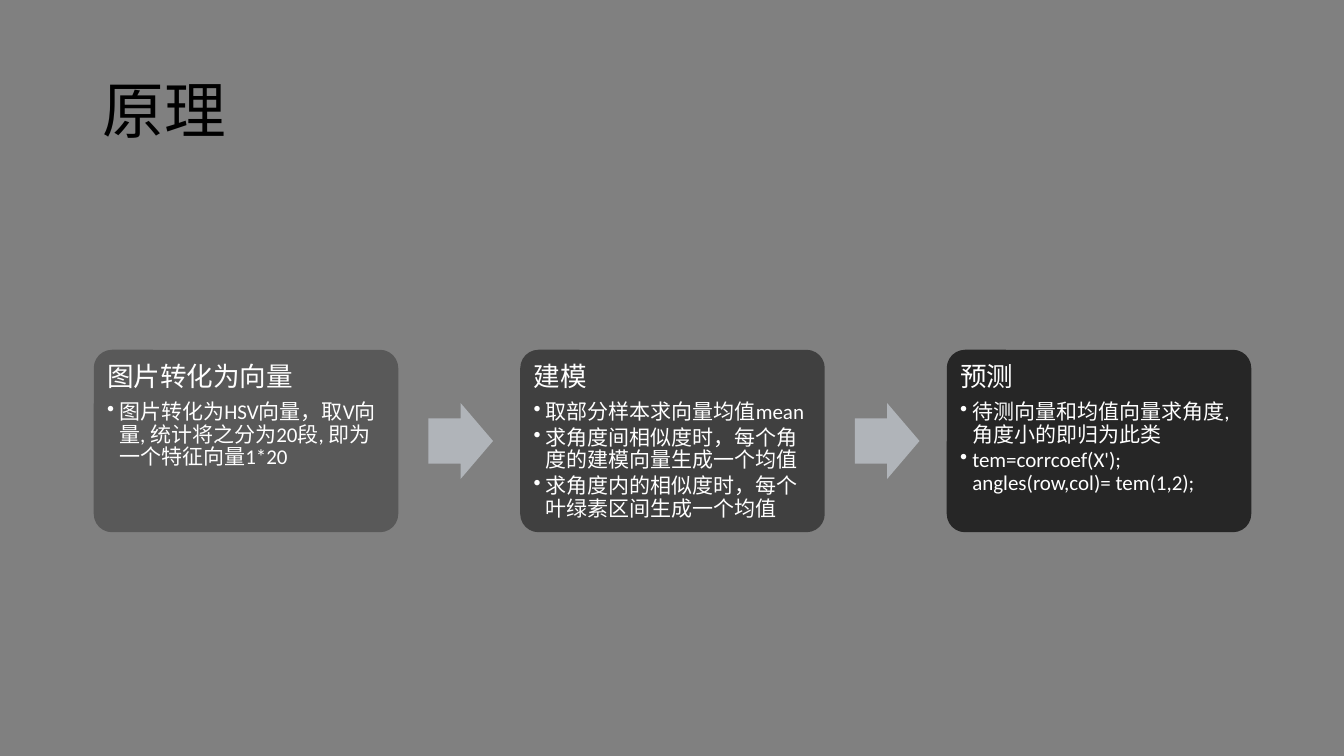
from lxml.etree import SubElement
from pptx import Presentation
from pptx.dml.color import RGBColor
from pptx.enum.shapes import MSO_SHAPE
from pptx.enum.text import MSO_ANCHOR, PP_ALIGN
from pptx.oxml.ns import qn
from pptx.util import Inches, Pt

LATIN, CHINESE = "Calibri", "Noto Sans CJK SC"
CARD_LEFT, CARD_TOP, CARD_WIDTH, CARD_HEIGHT = 0.93, 3.47, 3.02, 1.81
CARD_PITCH = 4.23
ARROW_WIDTH, ARROW_HEIGHT, ARROW_GAP = 0.64, 0.75, 0.3
INDENT = 0.12

STEPS = [
    ("图片转化为向量", "595959",
     ["图片转化为HSV向量，取V向量, 统计将之分为20段, 即为一个特征向量1*20"]),
    ("建模", "404040",
     ["取部分样本求向量均值mean",
      "求角度间相似度时，每个角度的建模向量生成一个均值",
      "求角度内的相似度时，每个叶绿素区间生成一个均值"]),
    ("预测", "262626",
     ["待测向量和均值向量求角度, 角度小的即归为此类",
      "tem=corrcoef(X'); angles(row,col)= tem(1,2);"]),
]


def paint(fill, color):
    """Make a fill solid in the given hex colour."""
    fill.solid()
    fill.fore_color.rgb = RGBColor.from_string(color)


def format_paragraph(paragraph, size, color, font, space_after=0):
    """Set the spacing of a paragraph and the font of its runs."""
    paragraph.alignment = PP_ALIGN.LEFT
    paragraph.line_spacing = 0.9
    paragraph.space_before = Pt(0)
    paragraph.space_after = Pt(space_after)
    for run in paragraph.runs:
        run.font.size = Pt(size)
        run.font.name = font
        paint(run.font.fill, color)
        SubElement(run.font._element, qn("a:ea"), typeface=CHINESE)


def add_bullet(paragraph):
    """Give a paragraph a round bullet with a hanging indent."""
    properties = paragraph._p.get_or_add_pPr()
    properties.set("marL", str(Inches(INDENT)))
    properties.set("indent", str(-Inches(INDENT)))
    SubElement(properties, qn("a:buChar"), char="•")


def add_block(slide, preset, left, top, width, height, color, adjustments):
    """Add a flat preset shape without outline or shadow."""
    shape = slide.shapes.add_shape(
        preset, Inches(left), Inches(top), Inches(width), Inches(height))
    shape.shadow.inherit = False
    shape.line.fill.background()
    paint(shape.fill, color)
    for index, value in enumerate(adjustments):
        shape.adjustments[index] = value
    return shape


def add_card(slide, left, heading, color, points):
    """Add a rounded card with a heading and bullet points."""
    card = add_block(slide, MSO_SHAPE.ROUNDED_RECTANGLE, left, CARD_TOP,
                     CARD_WIDTH, CARD_HEIGHT, color, [0.1])
    frame = card.text_frame
    frame.word_wrap = True
    frame.vertical_anchor = MSO_ANCHOR.TOP
    frame.margin_left = frame.margin_right = Inches(0.08)
    frame.margin_top = frame.margin_bottom = Inches(0.08)
    frame.text = heading
    format_paragraph(frame.paragraphs[0], 19, "FFFFFF", CHINESE, 6.65)
    for point in points:
        paragraph = frame.add_paragraph()
        paragraph.text = point
        paragraph.level = 1
        format_paragraph(paragraph, 15, "FFFFFF", LATIN, 2.25)
        add_bullet(paragraph)


def add_arrow(slide, left):
    """Add an arrow centred on the height of the cards."""
    top = CARD_TOP + (CARD_HEIGHT - ARROW_HEIGHT) / 2
    add_block(slide, MSO_SHAPE.RIGHT_ARROW, left, top,
              ARROW_WIDTH, ARROW_HEIGHT, "B0B4B9", [0.6, 0.5])


def add_title(slide, text):
    """Place and format the title placeholder."""
    title = slide.shapes.title
    title.left, title.top = Inches(0.92), Inches(0.4)
    title.width, title.height = Inches(11.5), Inches(1.45)
    title.text_frame.text = text
    title.text_frame.vertical_anchor = MSO_ANCHOR.MIDDLE
    format_paragraph(title.text_frame.paragraphs[0], 44, "000000", CHINESE)


def main():
    """Build the slide and save it."""
    presentation = Presentation()
    presentation.slide_width = Inches(13.33)
    presentation.slide_height = Inches(7.5)
    slide = presentation.slides.add_slide(presentation.slide_layouts[5])
    paint(slide.background.fill, "808080")
    add_title(slide, "原理")
    for index, (heading, color, points) in enumerate(STEPS):
        left = CARD_LEFT + index * CARD_PITCH
        add_card(slide, left, heading, color, points)
        if index < len(STEPS) - 1:
            add_arrow(slide, left + CARD_WIDTH + ARROW_GAP)
    presentation.save("out.pptx")


main()
